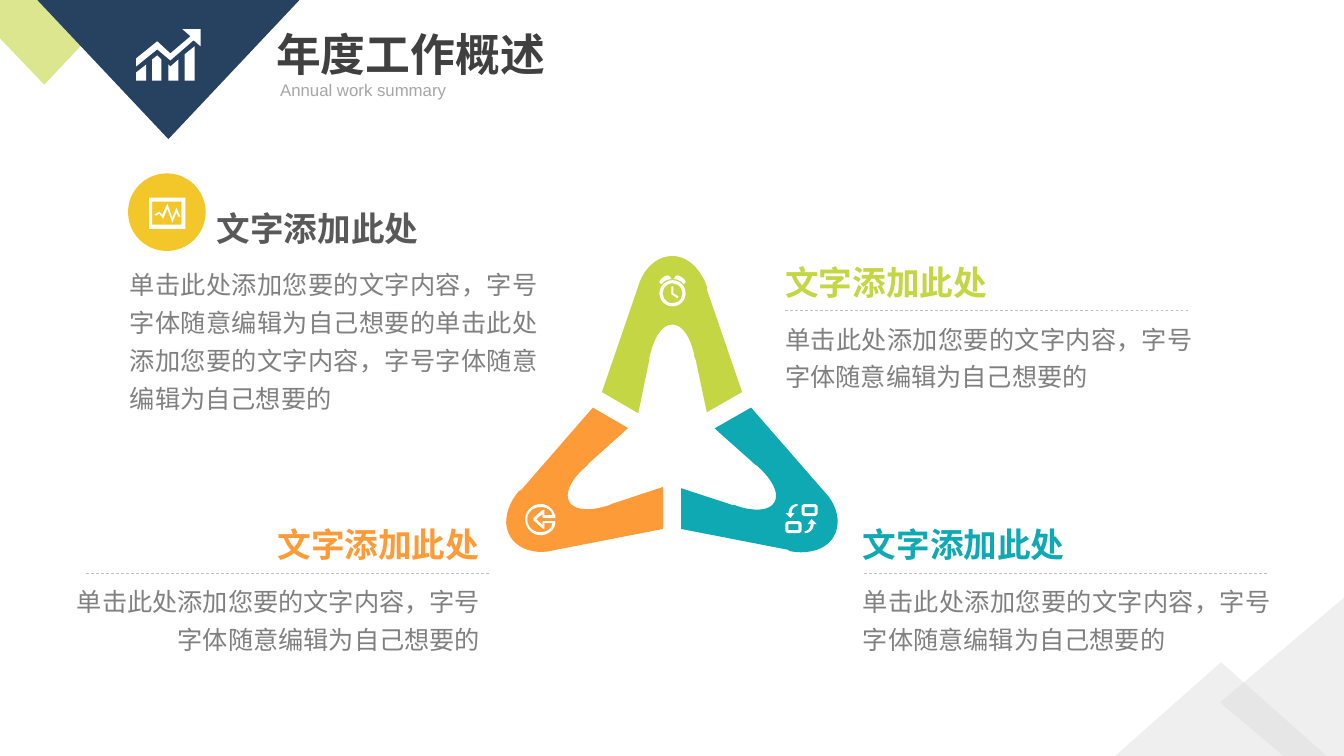
import pptx
import pptx.dml.color
import pptx.enum.dml
import pptx.enum.shapes
import pptx.enum.text
import pptx.oxml.ns
import pptx.oxml.xmlchemy
import pptx.util

EMU_PER_PX = 9144
CURVE_STEPS = 10
SHAPES = pptx.enum.shapes.MSO_SHAPE
ALIGN = pptx.enum.text.PP_ALIGN
CJK, LATIN = "Noto Sans CJK SC", "Arial"
NAVY, LIME, TEAL, ORANGE, YELLOW = "274161", "C4D644", "0EA9B2", "FE9B39", "F3C72A"
WHITE, PALE, RULE, GRAY = "FFFFFF", "D9D9D9", "BFBFBF", "808080"
HEADING = "文字添加此处"
BODY = "单击此处添加您要的文字内容，字号字体随意编辑为自己想要的"


def px(value):
    return pptx.util.Emu(round(value * EMU_PER_PX))


def color(value):
    return pptx.dml.color.RGBColor.from_string(value)


def moved(contour, dx=0, dy=0, sx=1, sy=1):
    return [[value * (sx, sy)[i % 2] + (dx, dy)[i % 2] for i, value in enumerate(step)]
            for step in contour]


def flatten(contour):
    points = [tuple(contour[0])]
    for step in contour[1:]:
        if len(step) == 2:
            points.append(tuple(step))
            continue
        start = points[-1]
        for i in range(1, CURVE_STEPS + 1):
            t = i / CURVE_STEPS
            u = 1 - t
            points.append(tuple(
                u ** 3 * start[k] + 3 * u * u * t * step[k]
                + 3 * u * t * t * step[k + 2] + t ** 3 * step[k + 4] for k in (0, 1)))
    return [(px(x), px(y)) for x, y in points]


class SlideBuilder:
    def __init__(self, presentation):
        self.slide = presentation.slides.add_slide(presentation.slide_layouts[6])
        self.shapes = self.slide.shapes

    def paint(self, shape, fill, alpha=None):
        shape.shadow.inherit = False
        shape.fill.solid()
        shape.fill.fore_color.rgb = color(fill)
        shape.line.fill.background()
        if alpha is not None:
            tag = next(shape._element.spPr.iter(pptx.oxml.ns.qn("a:srgbClr")))
            element = pptx.oxml.xmlchemy.OxmlElement("a:alpha")
            element.set("val", str(alpha * 1000))
            tag.append(element)
        return shape

    def preset(self, kind, left, top, width, height, fill, alpha=None):
        shape = self.shapes.add_shape(kind, px(left), px(top), px(width), px(height))
        return self.paint(shape, fill, alpha)

    def outline(self, contours, fill, alpha=None):
        builder = None
        for contour in contours:
            points = flatten(contour)
            if builder is None:
                builder = self.shapes.build_freeform(*points[0], scale=1.0)
            else:
                builder.move_to(*points[0])
            builder.add_line_segments(points[1:], close=True)
        return self.paint(builder.convert_to_shape(), fill, alpha)

    def text(self, text, left, top, width, height, size, fill, font=CJK, bold=False,
             align=ALIGN.LEFT, spacing=None, wrap=True):
        box = self.shapes.add_textbox(px(left), px(top), px(width), px(height))
        frame = box.text_frame
        frame.word_wrap = wrap
        frame.auto_size = pptx.enum.text.MSO_AUTO_SIZE.SHAPE_TO_FIT_TEXT
        paragraph = frame.paragraphs[0]
        paragraph.text = text
        paragraph.alignment = align
        paragraph.line_spacing = spacing
        paragraph.font.size = pptx.util.Pt(size)
        paragraph.font.bold = bold
        paragraph.font.color.rgb = color(fill)
        paragraph.font.name = font
        east_asian = pptx.oxml.xmlchemy.OxmlElement("a:ea")
        east_asian.set("typeface", font)
        paragraph._p.pPr.find(pptx.oxml.ns.qn("a:defRPr")).append(east_asian)

    def dashed_rule(self, left, top, width):
        connector = self.shapes.add_connector(
            pptx.enum.shapes.MSO_CONNECTOR.STRAIGHT, px(left), px(top), px(left + width), px(top))
        connector.line.color.rgb = color(RULE)
        connector.line.width = pptx.util.Pt(0.5)
        connector.line.dash_style = pptx.enum.dml.MSO_LINE.DASH
        connector._element.spPr.append(pptx.oxml.xmlchemy.OxmlElement("a:effectLst"))

    def section(self, heading_left, body_left, top, fill, align=ALIGN.LEFT, body=BODY, height=86):
        self.text(HEADING, heading_left, top, 222, 50, 24, fill, bold=True, align=align, wrap=False)
        body_align = ALIGN.RIGHT if align == ALIGN.RIGHT else ALIGN.JUSTIFY
        self.text(body, body_left, top + 54, 424, height, 18, GRAY, align=body_align, spacing=1.25)


def box(left, top, right, bottom):
    return [(left, top), (right, top), (right, bottom), (left, bottom)]


BARS = [
    [(151, 59), (151, 80), (160, 80), (160, 59), (156, 55)],
    [(135, 80), (145, 80), (145, 64), (135, 72)],
    [(183, 54), (183, 80), (193, 80), (193, 46)],
    [(167, 64), (167, 80), (177, 80), (177, 59), (169, 66)],
]
GROWTH_ARROW = [(199, 29), (181, 29), (189, 36), (169, 53), (156, 41), (135, 58),
                (135, 66), (156, 49), (169, 60), (192, 40), (199, 46)]
PULSE = [(155, 214), (158, 212), (162, 217), (166, 207), (171, 221), (175, 211), (177, 215),
         (179, 215), (175, 206), (171, 216), (166, 202), (161, 213), (158, 210), (153, 213)]
ARM = [(667, 254), (682, 254, 695, 267, 701, 284), (701, 287), (736, 389), (701, 409),
       (690, 357), (689, 355), (686, 336, 677, 322, 667, 322), (656, 322, 648, 336, 644, 355),
       (644, 357), (633, 410), (597, 389), (632, 287), (633, 284), (638, 267, 651, 254, 667, 254)]
CLOCK_HANDS = [(666, 284), (668, 284), (668, 291), (673, 294), (672, 296), (666, 292)]
CLOCK_BELL = [(666, 277), (664, 274), (663, 273, 661, 273, 658, 275), (655, 277, 654, 279, 654, 280),
              (656, 282), (658, 279, 662, 277, 666, 277)]
BACK_RING = [(536, 531), (528, 531, 521, 524, 521, 515), (521, 507, 528, 500, 536, 500),
             (543, 500, 549, 505, 551, 512), (551, 513, 551, 514, 550, 514), (539, 514), (538, 513),
             (538, 510), (532, 515), (538, 521), (538, 518), (539, 517), (550, 517),
             (551, 517, 551, 518, 551, 519), (550, 526, 543, 531, 536, 531)]
BACK_ARROW = [(536, 503), (529, 503, 523, 508, 523, 515), (523, 523, 529, 528, 536, 528),
              (542, 528, 547, 525, 548, 519), (540, 519), (540, 524), (540, 525, 539, 525, 538, 524),
              (529, 516), (529, 514), (538, 506), (540, 506), (540, 511), (548, 511),
              (547, 506, 542, 503, 536, 503)]
SWAP_BOX = [(791, 517), (783, 517), (781, 517, 779, 518, 779, 520), (779, 526),
            (779, 528, 781, 529, 783, 529), (791, 529), (793, 529, 795, 528, 795, 526),
            (795, 520), (795, 518, 793, 517, 791, 517)]
SWAP_ARROW = [(810, 520), (805, 515), (801, 520), (804, 520), (804, 524, 801, 527, 798, 527),
              (798, 529), (803, 529, 807, 525, 807, 520)]


def main():
    presentation = pptx.Presentation()
    presentation.slide_width, presentation.slide_height = px(1333), px(750)
    page = SlideBuilder(presentation)

    page.preset(SHAPES.ISOSCELES_TRIANGLE, 1106, 657, 210, 93, PALE, 40)
    page.outline([[(1333, 593), (1333, 750), (1273, 750), (1210, 697)]], PALE, 40)
    page.outline([[(0, 0), (123, 0), (44, 84), (0, 38)]], LIME, 60)
    page.preset(SHAPES.ISOSCELES_TRIANGLE, 37, 0, 260, 138, NAVY).rotation = 180
    page.outline(BARS, WHITE)
    page.outline([GROWTH_ARROW], WHITE)
    page.text("年度工作概述", 264, 22, 533, 64, 32, "404040", bold=True)
    page.text("Annual work summary", 268, 74, 279, 30, 12, "A6A6A6", LATIN, align=ALIGN.JUSTIFY)

    page.section(846, 846, 515, TEAL)
    page.section(263, 62, 515, ORANGE, ALIGN.RIGHT)
    page.section(205, 119, 201, "595959", body=BODY * 2, height=158)
    page.section(769, 769, 255, LIME)
    for left, top in ((779, 308), (857, 569), (85, 569)):
        page.dashed_rule(left, top, 400)

    page.preset(SHAPES.OVAL, 127, 172, 77, 77, YELLOW)
    page.outline([PULSE], WHITE)
    page.outline([box(148, 196, 184, 227), box(151, 200, 180, 223)], WHITE)

    for fill, dx, dy, angle in ((LIME, 0, 0, 0), (TEAL, 93, 161, 120), (ORANGE, -93, 161, 240)):
        page.outline([moved(ARM, dx, dy)], fill).rotation = angle

    page.preset(SHAPES.DONUT, 654, 278, 26, 26, WHITE).adjustments[0] = 0.12
    page.outline([CLOCK_HANDS], WHITE)
    page.outline([CLOCK_BELL], WHITE)
    page.outline([moved(CLOCK_BELL, dx=1334, sx=-1)], WHITE)
    page.outline([BACK_RING, BACK_ARROW], WHITE)
    for dx, dy in ((0, 0), (16, -17)):
        page.outline([moved(SWAP_BOX, dx, dy), moved(box(782, 520, 792, 526), dx, dy)], WHITE)
    page.outline([SWAP_ARROW], WHITE)
    page.outline([moved(SWAP_ARROW, 1589, 1029, -1, -1)], WHITE)

    presentation.save("out.pptx")


if __name__ == "__main__":
    main()
